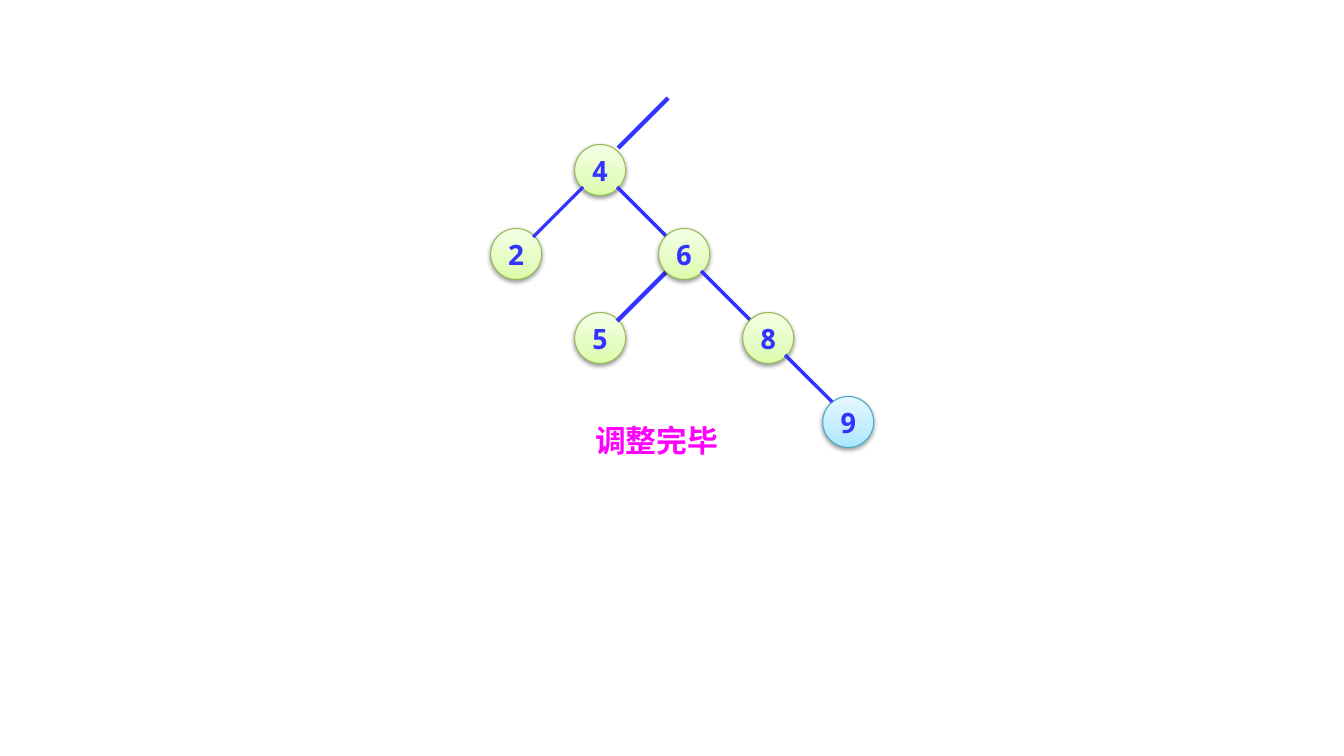
"""Draw a binary search tree after its rebalancing step."""
import lxml.etree
import pptx
import pptx.dml.color
import pptx.enum.shapes
import pptx.enum.text
import pptx.oxml.ns
import pptx.util

RGBColor = pptx.dml.color.RGBColor
qn = pptx.oxml.ns.qn

BLUE = RGBColor(0x33, 0x33, 0xFF)
MAGENTA = RGBColor(0xFF, 0x00, 0xFF)
BLACK = RGBColor(0x00, 0x00, 0x00)
GREEN_LINE = RGBColor(0x98, 0xB9, 0x55)
CYAN_LINE = RGBColor(0x46, 0xAA, 0xC5)
GREEN_STOPS = (
    (0, RGBColor(0xDA, 0xFD, 0xA7)),
    (35, RGBColor(0xE4, 0xFC, 0xC2)),
    (100, RGBColor(0xF5, 0xFF, 0xE7)),
)
CYAN_STOPS = (
    (0, RGBColor(0xA7, 0xE6, 0xFF)),
    (35, RGBColor(0xC1, 0xED, 0xFF)),
    (100, RGBColor(0xE7, 0xF8, 0xFF)),
)

FONT = "Noto Sans Mono"
PX_PER_INCH = 100.8
DIAMETER = 51
RIM = 17
STEP = 84
LEFT, RIGHT = -1, 1

CENTERS = {
    "4": (600, 170),
    "2": (600 - STEP, 170 + STEP),
    "6": (600 + STEP, 170 + STEP),
    "5": (600, 170 + 2 * STEP),
    "8": (600 + 2 * STEP, 170 + 2 * STEP),
    "9": (848, 170 + 3 * STEP),
}
ROOT = (685, 81)


def px(length):
    return pptx.util.Emu(round(length * 914400 / PX_PER_INCH))


def add_text(box, text, size, color):
    para = box.text_frame.paragraphs[0]
    para.alignment = pptx.enum.text.PP_ALIGN.CENTER
    span = para.add_run()
    span.text = text
    span.font.size = pptx.util.Pt(size)
    span.font.bold = True
    span.font.color.rgb = color
    span.font.name = FONT
    east_asian = lxml.etree.SubElement(span.font._element, qn("a:ea"))
    east_asian.set("typeface", FONT)


def fill_gradient(shape, stops):
    shape.fill.gradient()
    shape.fill.gradient_angle = 90
    stop_list = shape._element.spPr.find(".//" + qn("a:gsLst"))
    for old_stop in list(stop_list):
        stop_list.remove(old_stop)
    for percent, color in stops:
        stop = lxml.etree.SubElement(stop_list, qn("a:gs"), pos=str(percent * 1000))
        lxml.etree.SubElement(stop, qn("a:srgbClr"), val=str(color))


def add_shadow(shape):
    shape.shadow.inherit = False
    effects = shape._element.spPr.find(qn("a:effectLst"))
    shadow = lxml.etree.SubElement(
        effects, qn("a:outerShdw"), blurRad=str(pptx.util.Pt(3.1)),
        dist=str(pptx.util.Pt(1.6)), dir="5400000", rotWithShape="0")
    color = lxml.etree.SubElement(shadow, qn("a:srgbClr"), val=str(BLACK))
    lxml.etree.SubElement(color, qn("a:alpha"), val="38000")


def add_node(page, label, stops=GREEN_STOPS, line_color=GREEN_LINE):
    x, y = CENTERS[label]
    node = page.shapes.add_shape(
        pptx.enum.shapes.MSO_SHAPE.OVAL, px(x - DIAMETER / 2),
        px(y - DIAMETER / 2), px(DIAMETER), px(DIAMETER))
    fill_gradient(node, stops)
    node.line.color.rgb = line_color
    node.line.width = pptx.util.Pt(0.75)
    add_shadow(node)
    node.text_frame.word_wrap = False
    node.text_frame.vertical_anchor = pptx.enum.text.MSO_ANCHOR.MIDDLE
    add_text(node, label, 20, BLUE)


def add_edge(page, parent, side, width, run=50):
    x, y = parent[0] + side * RIM, parent[1] + RIM
    edge = page.shapes.add_connector(
        pptx.enum.shapes.MSO_CONNECTOR.STRAIGHT,
        px(x), px(y), px(x + side * run), px(y + run))
    edge.line.color.rgb = BLUE
    edge.line.width = pptx.util.Pt(width)
    lxml.etree.SubElement(edge._element.spPr, qn("a:effectLst"))


def add_caption(page, text):
    box = page.shapes.add_textbox(px(561), px(417), px(191), px(47))
    box.text_frame.word_wrap = True
    add_text(box, text, 22, MAGENTA)


def main():
    deck = pptx.Presentation()
    deck.slide_width = pptx.util.Inches(13.33)
    deck.slide_height = pptx.util.Inches(7.5)
    page = deck.slides.add_slide(deck.slide_layouts[6])

    add_caption(page, "调整完毕")
    add_node(page, "4")
    add_node(page, "2")
    add_edge(page, CENTERS["4"], LEFT, 2.25)
    add_edge(page, CENTERS["4"], RIGHT, 2.5)
    add_node(page, "5")
    add_edge(page, CENTERS["6"], LEFT, 3)
    add_node(page, "6")
    add_edge(page, CENTERS["6"], RIGHT, 2.5)
    add_node(page, "8")
    add_node(page, "9", CYAN_STOPS, CYAN_LINE)
    add_edge(page, CENTERS["8"], RIGHT, 2.5, run=47)
    add_edge(page, ROOT, LEFT, 3)

    deck.save("out.pptx")


if __name__ == "__main__":
    main()
